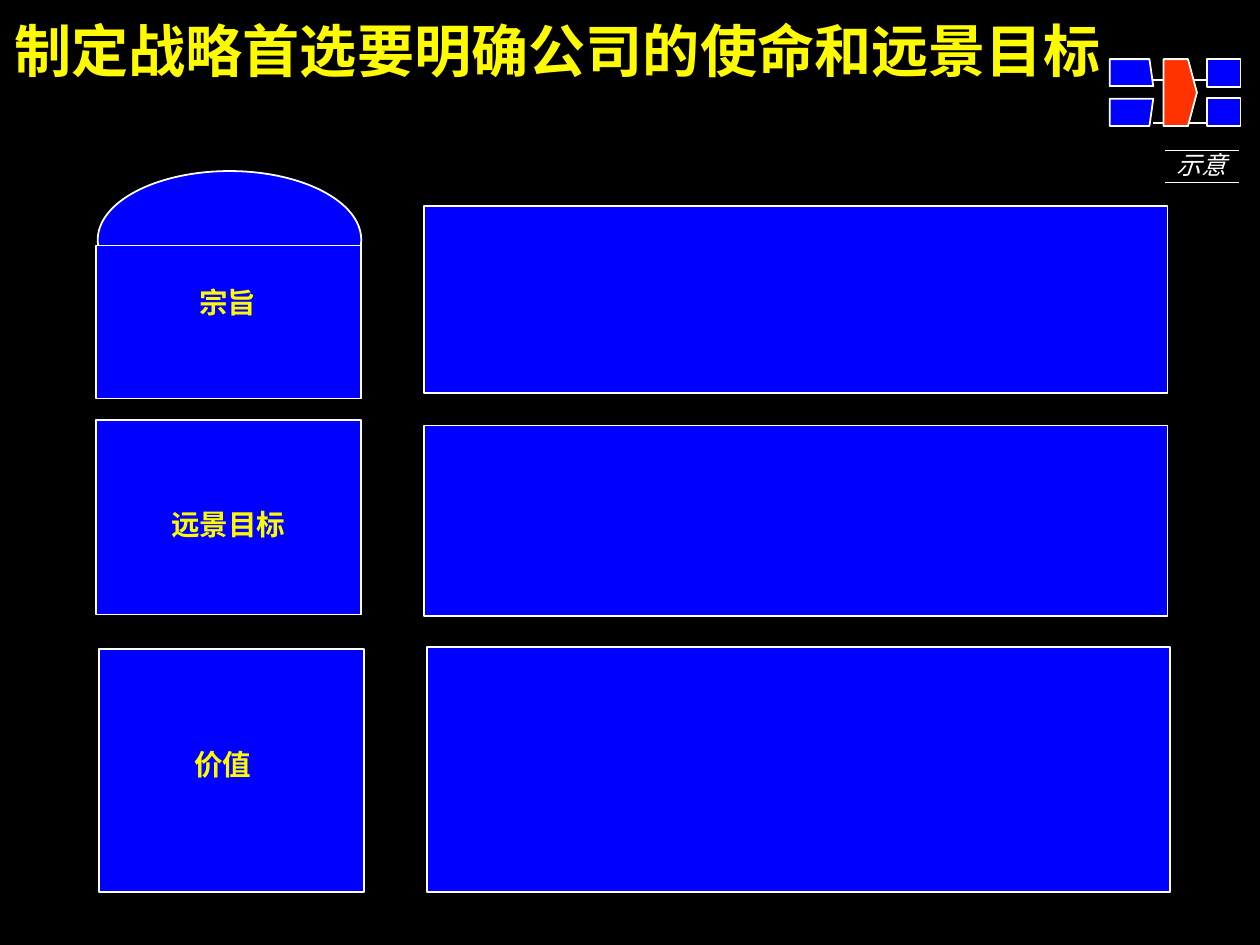
from lxml import etree
from pptx import Presentation
from pptx import util as u
from pptx.dml.color import RGBColor
from pptx.enum import shapes, text
from pptx.oxml.ns import qn

BLACK, WHITE, BLUE, YELLOW, RED = "000000", "FFFFFF", "0000FE", "FEFB00", "FF3300"
LATIN, CHINESE = "Arial", "Noto Sans CJK SC"
RECTANGLE = shapes.MSO_SHAPE.RECTANGLE
LEFT, CENTER, RIGHT = text.PP_ALIGN.LEFT, text.PP_ALIGN.CENTER, text.PP_ALIGN.RIGHT


def color(value):
    """Turn a hex string into a colour."""
    return RGBColor.from_string(value)


def paint(shape, fill):
    """Give a shape a flat fill and a thin white outline."""
    shape.shadow.inherit = False
    shape.fill.solid()
    shape.fill.fore_color.rgb = color(fill)
    shape.line.color.rgb = color(WHITE)
    shape.line.width = u.Pt(1)


def add_block(page, left, top, width, height, kind=RECTANGLE):
    """Add a blue preset shape."""
    shape = page.shapes.add_shape(kind, u.Pt(left), u.Pt(top), u.Pt(width), u.Pt(height))
    paint(shape, BLUE)


def add_outline(page, points, fill):
    """Add a closed polygon."""
    corners = [(u.Pt(x), u.Pt(y)) for x, y in points]
    builder = page.shapes.build_freeform(*corners[0])
    builder.add_line_segments(corners[1:], close=True)
    paint(builder.convert_to_shape(), fill)


def add_rule(page, left, right, y, weight):
    """Add a horizontal white line."""
    rule = page.shapes.add_connector(
        shapes.MSO_CONNECTOR.STRAIGHT, u.Pt(left), u.Pt(y), u.Pt(right), u.Pt(y))
    rule.line.color.rgb = color(WHITE)
    rule.line.width = u.Pt(weight)
    etree.SubElement(rule._element.spPr, qn("a:effectLst"))


def add_label(page, words, left, top, width, height, size=16, align=CENTER,
              fill=YELLOW, font=LATIN, bold=True, italic=False, wrap=False):
    """Add a one-line text box without margins."""
    box = page.shapes.add_textbox(u.Pt(left), u.Pt(top), u.Pt(width), u.Pt(height))
    frame = box.text_frame
    frame.margin_left = frame.margin_top = frame.margin_right = frame.margin_bottom = 0
    frame.word_wrap = wrap
    frame.text = words
    para = frame.paragraphs[0]
    para.alignment = align
    span = para.runs[0]
    span.font.name = font
    span.font.size = u.Pt(size)
    span.font.bold = bold
    span.font.italic = italic
    span.font.color.rgb = color(fill)
    etree.SubElement(span._r.get_or_add_rPr(), qn("a:ea"), typeface=CHINESE)


def add_icon(page):
    """Add the small process diagram in the corner."""
    for y in (44.6, 69.1):
        add_rule(page, 645.8, 694.1, y, 1)
    for top in (33.1, 54.7):
        add_block(page, 676.1, top, 18.7, 15.8)
    add_outline(page, [(651.6, 33.1), (665.3, 33.1), (670.3, 51.8),
                       (665.3, 70.6), (651.6, 70.6)], RED)
    for outer, inner in ((70.6, 55.4), (33.1, 48.2)):
        add_outline(page, [(621.4, outer), (643.7, outer),
                           (645.8, inner), (621.4, inner)], BLUE)


def add_sticker(page):
    """Add the sticker between its two rules."""
    add_label(page, "示意", 658.8, 83.5, 28.1, 16.6, size=14, align=RIGHT,
              fill=WHITE, font=CHINESE, bold=False, italic=True)
    for y in (84.2, 102.2):
        add_rule(page, 652.3, 694.1, y, 0.75)


def main():
    """Build the slide and save it."""
    deck = Presentation()
    deck.slide_width, deck.slide_height = u.Pt(705.6), u.Pt(529.2)
    page = deck.slides.add_slide(deck.slide_layouts[6])
    page.background.fill.solid()
    page.background.fill.fore_color.rgb = color(BLACK)

    add_label(page, "制定战略首选要明确公司的使命和远景目标", 7.9, 8.6, 684.7, 38.2,
              size=32, align=LEFT, wrap=True)
    for left, top, height in ((237.6, 115.2, 105.1), (237.6, 238.3, 106.6), (239, 362.2, 137.5)):
        add_block(page, left, top, 416.2, height)

    add_block(page, 54.7, 95.8, 147.6, 77, shapes.MSO_SHAPE.OVAL)
    for left, top, height in ((54, 137.5, 85.7), (54, 235.4, 108.7), (55.4, 363.6, 136.1)):
        add_block(page, left, top, 148.3, height)
    for words, left, top, width in (("宗旨", 111.6, 159.8, 32),
                                    ("远景目标", 95.8, 283.7, 64),
                                    ("价值", 108.7, 418.3, 32)):
        add_label(page, words, left, top, width, 19.4)

    add_sticker(page)
    add_icon(page)
    deck.save("out.pptx")


if __name__ == "__main__":
    main()
